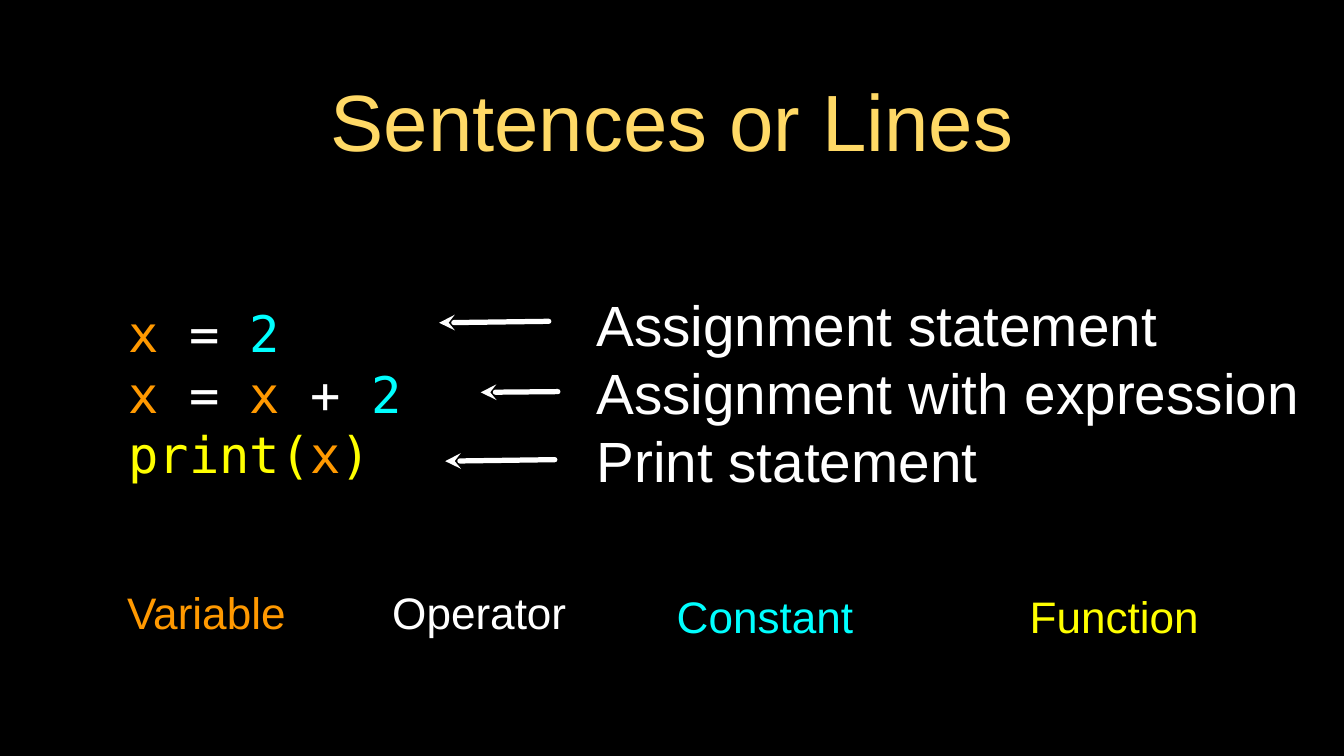
"""Build the slide that names the kinds of Python lines and their parts."""
from dataclasses import dataclass

from lxml import etree
from pptx import Presentation
from pptx.dml.color import RGBColor
from pptx.enum.shapes import MSO_CONNECTOR
from pptx.enum.text import MSO_ANCHOR, MSO_AUTO_SIZE, PP_ALIGN
from pptx.oxml.ns import qn
from pptx.util import Inches, Pt

STRAIGHT = MSO_CONNECTOR.STRAIGHT
MIDDLE = MSO_ANCHOR.MIDDLE
NO_FIT = MSO_AUTO_SIZE.NONE
LEFT, CENTER = PP_ALIGN.LEFT, PP_ALIGN.CENTER
SANS, MONO = "Arial", "DejaVu Sans Mono"
COLORS = {
    "background": "000000",
    "title": "FFD966",
    "variable": "FF9900",
    "operator": "FFFFFF",
    "constant": "00FFFF",
    "function": "FFFF00",
    "note": "FFFFFF",
}


@dataclass
class Style:
    size: int
    font: str = SANS
    align: PP_ALIGN = LEFT
    inset: float = 0


@dataclass
class Label:
    role: str
    left: float
    top: float
    width: float


@dataclass
class Arrow:
    tip_x: float
    tip_y: float
    tail_x: float
    tail_y: float


Line = list[tuple[str, str]]

CODE: list[Line] = [
    [("x ", "variable"), ("= ", "operator"), ("2", "constant")],
    [("x ", "variable"), ("= ", "operator"), ("x ", "variable"),
     ("+ ", "operator"), ("2", "constant")],
    [("print(", "function"), ("x", "variable"), (")", "function")],
]
NOTES = ["Assignment statement", "Assignment with expression", "Print statement"]
LABELS = [
    Label("variable", 1.45, 7.7, 2.56),
    Label("operator", 5.14, 7.7, 2.4),
    Label("constant", 8.84, 7.75, 2.56),
    Label("function", 12.83, 7.75, 3.82),
]
ARROWS = [
    Arrow(5.81, 4.27, 7.26, 4.25),
    Arrow(6.36, 5.19, 7.38, 5.18),
    Arrow(5.89, 6.1, 7.34, 6.08),
]


def rgb(role: str) -> RGBColor:
    return RGBColor.from_string(COLORS[role])


def place(sp, left: float, top: float, width: float, height: float) -> None:
    sp.left, sp.top = Inches(left), Inches(top)
    sp.width, sp.height = Inches(width), Inches(height)


def write(sp, lines: list[Line], style: Style) -> None:
    tf = sp.text_frame
    tf.word_wrap = True
    tf.auto_size = NO_FIT
    tf.vertical_anchor = MIDDLE
    tf.margin_left = tf.margin_right = Inches(style.inset)
    tf.margin_top = tf.margin_bottom = Inches(style.inset)
    for i, line in enumerate(lines):
        p = tf.add_paragraph() if i else tf.paragraphs[0]
        p.alignment = style.align
        p.space_before = Pt(0)
        if len(lines) > 1:
            p.line_spacing = Pt(1.2 * style.size)
        pPr = p._p.get_or_add_pPr()
        pPr.set("marL", "0")
        pPr.set("indent", "0")
        etree.SubElement(pPr, qn("a:buNone"))
        for text, role in line:
            r = p.add_run()
            r.text = text
            r.font.size = Pt(style.size)
            r.font.name = style.font
            r.font.color.rgb = rgb(role)


def add_label(slide, label: Label) -> None:
    sp = slide.shapes.add_textbox(0, 0, 0, 0)
    place(sp, label.left, label.top, label.width, 0.79)
    write(sp, [[(label.role.capitalize(), label.role)]], Style(42, align=CENTER))


def add_arrow(slide, arrow: Arrow) -> None:
    sp = slide.shapes.add_connector(
        STRAIGHT, Inches(arrow.tip_x), Inches(arrow.tip_y),
        Inches(arrow.tail_x), Inches(arrow.tail_y))
    sp.line.color.rgb = rgb("note")
    sp.line.width = Pt(5)
    ln = sp.line._get_or_add_ln()
    ln.set("cap", "rnd")
    etree.SubElement(ln, qn("a:headEnd"), type="stealth")
    etree.SubElement(sp._element.spPr, qn("a:effectLst"))


def main() -> None:
    prs = Presentation()
    prs.slide_width, prs.slide_height = Inches(17.78), Inches(10)
    slide = prs.slides.add_slide(prs.slide_layouts.get_by_name("Two Content"))
    slide.background.fill.solid()
    slide.background.fill.fore_color.rgb = rgb("background")
    for idx in (10, 11, 12):
        for sp in slide.placeholders:
            if sp.placeholder_format.idx == idx:
                sp._element.getparent().remove(sp._element)

    title, code, notes = slide.placeholders
    place(title, 0.89, 0.84, 16, 1.49)
    write(title, [[("Sentences or Lines", "title")]], Style(76, align=CENTER, inset=0.04))
    place(code, 1.7, 2.99, 4.38, 4.42)
    write(code, CODE, Style(48, MONO))
    place(notes, 7.89, 2.97, 9.71, 4.42)
    write(notes, [[(text, "note")] for text in NOTES], Style(54))

    for label in LABELS:
        add_label(slide, label)
    for arrow in ARROWS:
        add_arrow(slide, arrow)
    prs.save("out.pptx")


main()
